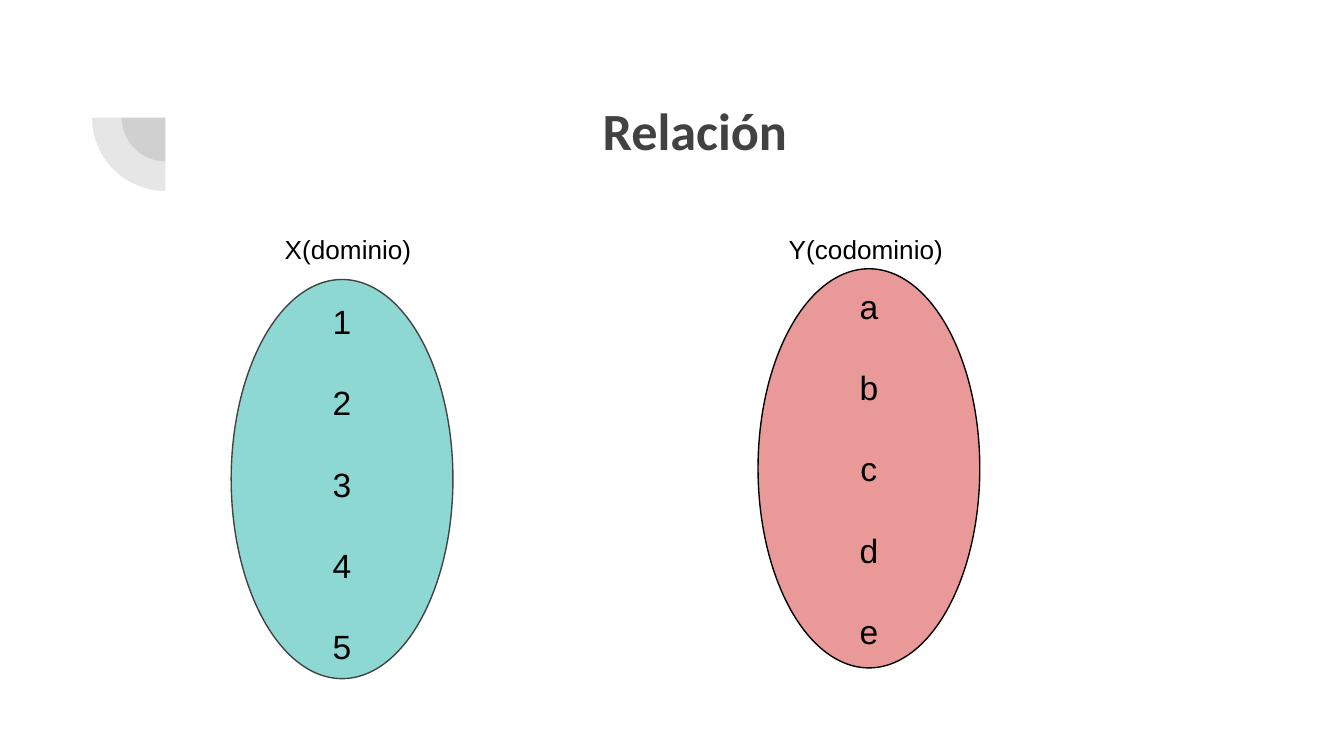
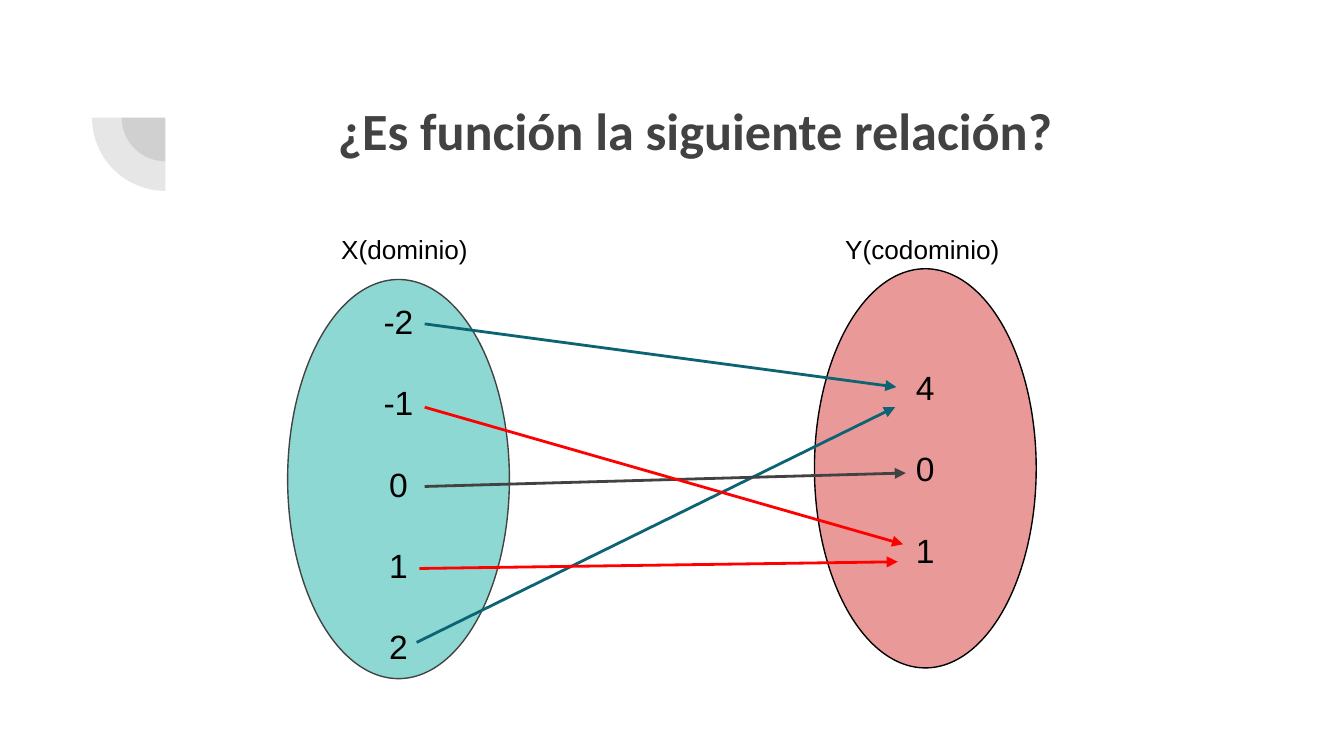
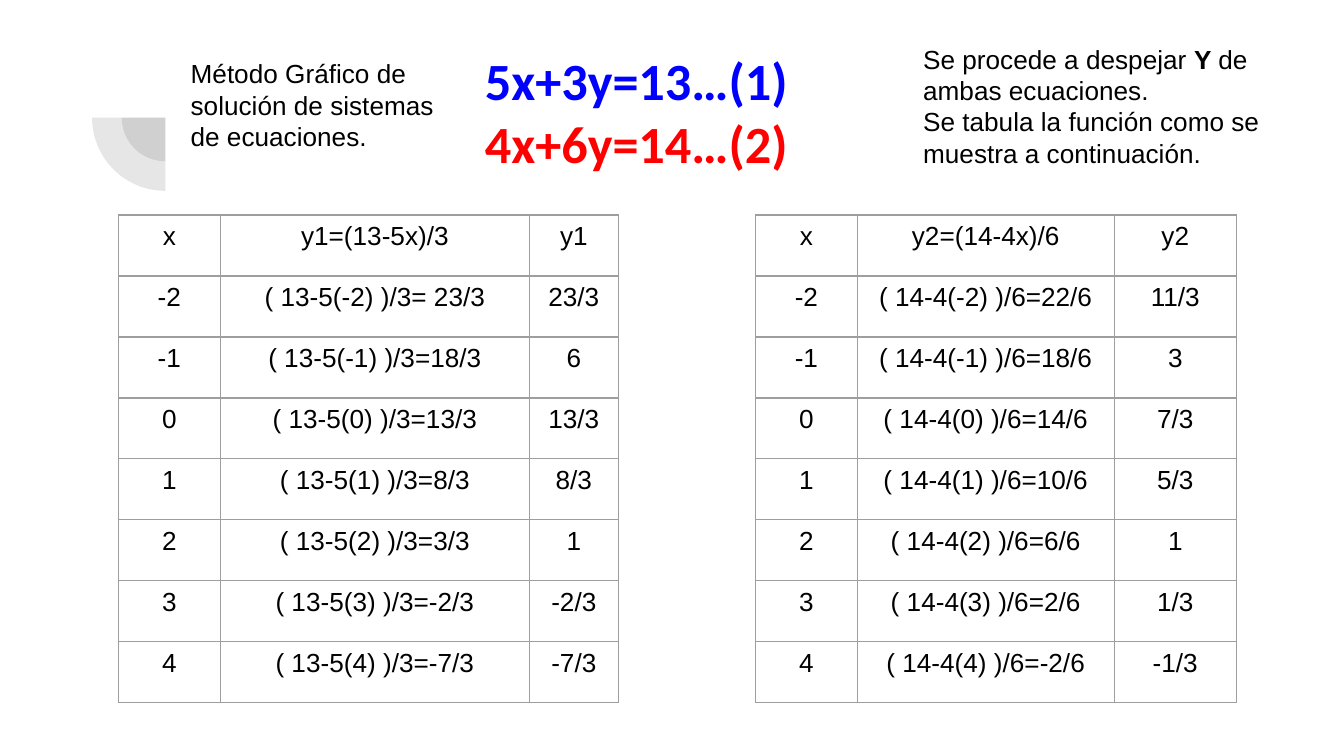
from dataclasses import dataclass
from itertools import product

from lxml.etree import SubElement as Sub
from pptx import Presentation
from pptx.dml.color import RGBColor as Rgb
from pptx.enum.shapes import MSO_CONNECTOR as Link, MSO_SHAPE as Kind
from pptx.enum.text import MSO_ANCHOR as Anchor, PP_ALIGN as Align
from pptx.oxml.ns import qn
from pptx.util import Inches, Pt

WIDE, HIGH = Inches(10), Inches(5.625)
COLS, ROWS = 100, 56.25


@dataclass(frozen=True)
class Theme:
    ink: str = "000000"
    gray: str = "424242"
    teal: str = "8DD8D3"
    rose: str = "EA9999"
    deep: str = "0B6374"
    red: str = "FF0000"
    blue: str = "0000FF"
    rule: str = "9E9E9E"
    head: str = "Calibri"
    body: str = "Arial"
    big: float = 28
    mid: float = 18
    small: float = 14
    thin: float = 0.75
    thick: float = 1.5


T = Theme()
TITLE = dict(size=T.big, font=T.head, color=T.gray, bold=True)


@dataclass(frozen=True)
class Box:
    """A region measured in grid columns and rows."""
    x: float
    y: float
    w: float
    h: float

    def sub(self, x, y, w, h):
        return Box(self.x + x, self.y + y, w, h)

    def emu(self):
        return (*spot(self.x, self.y), *spot(self.w, self.h))


def spot(x, y):
    return round(WIDE * x / COLS), round(HIGH * y / ROWS)


def write(frame, paras, size=T.small, font=T.body, color=T.ink, bold=False,
          align=Align.LEFT, anchor=Anchor.TOP, gap=0, drop=0):
    """Fill a frame; a paragraph is a string or a list of (text, changes)."""
    frame.word_wrap = True
    frame.vertical_anchor = anchor
    frame.margin_left = frame.margin_right = frame.margin_bottom = Inches(0.1)
    frame.margin_top = Inches(0.1 + drop)
    for i, para in enumerate(paras):
        p = frame.paragraphs[0] if i == 0 else frame.add_paragraph()
        p.alignment = align
        p.space_before = Pt(gap if i else 0)
        for text, diff in [(para, {})] if isinstance(para, str) else para:
            run = p.add_run()
            run.text = text
            look = dict(size=size, font=font, color=color, bold=bold) | diff
            run.font.size, run.font.name = Pt(look["size"]), look["font"]
            run.font.bold = look["bold"]
            run.font.color.rgb = Rgb.from_string(look["color"])


def label(slide, box, paras, **fmt):
    write(slide.shapes.add_textbox(*box.emu()).text_frame, paras, **fmt)


def shape(slide, kind, box, fill):
    item = slide.shapes.add_shape(kind, *box.emu())
    item.shadow.inherit = False
    item.fill.solid()
    item.fill.fore_color.rgb = Rgb.from_string(fill)
    return item


def badge(slide, box):
    """Two translucent quarter discs around one centre."""
    for inset in (2.2, 0):
        side = box.w - 2 * inset
        pie = shape(slide, Kind.PIE, box.sub(inset, inset, side, side), T.gray)
        pie.line.fill.background()
        pie.rotation = 270
        pie.adjustments[0], pie.adjustments[1] = 108, 162
        tint = pie.fill._xPr.find(qn("a:solidFill"))[0]
        Sub(tint, qn("a:alpha"), val="13000")


def oval(slide, box, items, fill, edge, drop=0):
    item = shape(slide, Kind.OVAL, box, fill)
    item.line.color.rgb = Rgb.from_string(edge)
    item.line.width = Pt(T.thin)
    write(item.text_frame, items, size=T.mid, align=Align.CENTER,
          anchor=Anchor.MIDDLE, gap=22, drop=drop)


def arrow(slide, box, start, end, color):
    ends = [spot(box.x + x, box.y + y) for x, y in (start, end)]
    line = slide.shapes.add_connector(Link.STRAIGHT, *ends[0], *ends[1])
    line.line.color.rgb = Rgb.from_string(color)
    line.line.width = Pt(T.thick)
    Sub(line.line._get_or_add_ln(), qn("a:tailEnd"), type="triangle")
    Sub(line._element.spPr, qn("a:effectLst"))


def sets(slide, box, left, right, arrows=()):
    """Domain and codomain ovals, their labels, and the arrows between."""
    oval(slide, box.sub(39.2, 3.6, 16.5, 29.7), right, T.rose, T.ink)
    label(slide, box.sub(3, 0, 16.5, 3.6), ["X(dominio)"])
    label(slide, box.sub(40.5, 0, 16.5, 3.6), ["Y(codominio)"])
    oval(slide, box.sub(0, 4.4, 16.5, 29.7), left, T.teal, T.gray, drop=0.07)
    for start, end, color in arrows:
        arrow(slide, box, start, end, color)


def edge(cell):
    props = cell._tc.get_or_add_tcPr()
    for side in "LRTB":
        line = Sub(props, qn(f"a:ln{side}"), w=str(Pt(T.thin)))
        Sub(Sub(line, qn("a:solidFill")), qn("a:srgbClr"), val=T.rule)


def grid(slide, box, cols, rows):
    table = slide.shapes.add_table(len(rows), len(cols), *box.emu()).table
    table.first_row = table.horz_banding = False
    for col, wide in zip(table.columns, cols):
        col.width = spot(wide, 0)[0]
    for row in table.rows:
        row.height = spot(0, box.h / len(rows))[1]
    for r, c in product(range(len(rows)), range(len(cols))):
        cell = table.cell(r, c)
        edge(cell)
        cell.fill.background()
        write(cell.text_frame, [rows[r][c]], align=Align.CENTER)


def values(name, base, rate, div, ends):
    """Rows for x from -2 on: the worked step and its result."""
    rows = [("x", f"{name}=({base}-{rate}x)/{div}", name)]
    for x, (step, y) in enumerate(ends, -2):
        rows.append((str(x), f"( {base}-{rate}({x}) )/{div}={step}", y))
    return rows


def page(deck):
    slide = deck.slides.add_slide(deck.slide_layouts[6])
    badge(slide, Box(6.85, 3.3, 10.9, 10.9))
    return slide


def relation(deck, title, x, *parts):
    slide = page(deck)
    label(slide, Box(18.5, 6.3, 66.4, 6.5), [title], align=Align.CENTER, **TITLE)
    sets(slide, Box(x, 16.4, 57, 34.1), *parts)


def method(deck):
    slide = page(deck)
    label(slide, Box(13.2, 3.3, 21.2, 11.7),
          ["Método Gráfico de solución de sistemas de ecuaciones."])
    label(slide, Box(35.1, 2.6, 29.5, 11.1),
          [[("5x+3y=13…(1)", dict(color=T.blue))],
           [("4x+6y=14…(2)", dict(color=T.red))]], **TITLE)
    label(slide, Box(67.7, 2.2, 28.1, 11.1),
          [[("Se procede a despejar ", {}), ("Y ", dict(bold=True)),
            ("de ambas ecuaciones.", {})],
           "Se tabula la función como se muestra a continuación."])
    grid(slide, Box(56.2, 16, 35.8, 36.3), (7.6, 19.1, 9.1),
         values("y2", 14, 4, 6, [
             ("22/6", "11/3"), ("18/6", "3"), ("14/6", "7/3"), ("10/6", "5/3"),
             ("6/6", "1"), ("2/6", "1/3"), ("-2/6", "-1/3")]))
    grid(slide, Box(8.8, 16, 37.2, 36.3), (7.6, 23, 6.6),
         values("y1", 13, 5, 3, [
             (" 23/3", "23/3"), ("18/3", "6"), ("13/3", "13/3"), ("8/3", "8/3"),
             ("3/3", "1"), ("-2/3", "-2/3"), ("-7/3", "-7/3")]))


def main():
    deck = Presentation()
    deck.slide_width, deck.slide_height = WIDE, HIGH
    relation(deck, "Relación", 17.2, "12345", "abcde")
    relation(deck, "¿Es función la siguiente relación?", 21.4,
             ["-2", "-1", "0", "1", "2"], "401", [
                 ((10.2, 7.7), (45.3, 12.4), T.deep),
                 ((9.6, 31.4), (45.2, 13.9), T.deep),
                 ((10.2, 19.8), (46, 18.8), T.gray),
                 ((10.2, 13.9), (45.8, 24.1), T.red),
                 ((9.8, 25.9), (45.4, 25.4), T.red)])
    method(deck)
    deck.save("out.pptx")


if __name__ == "__main__":
    main()
